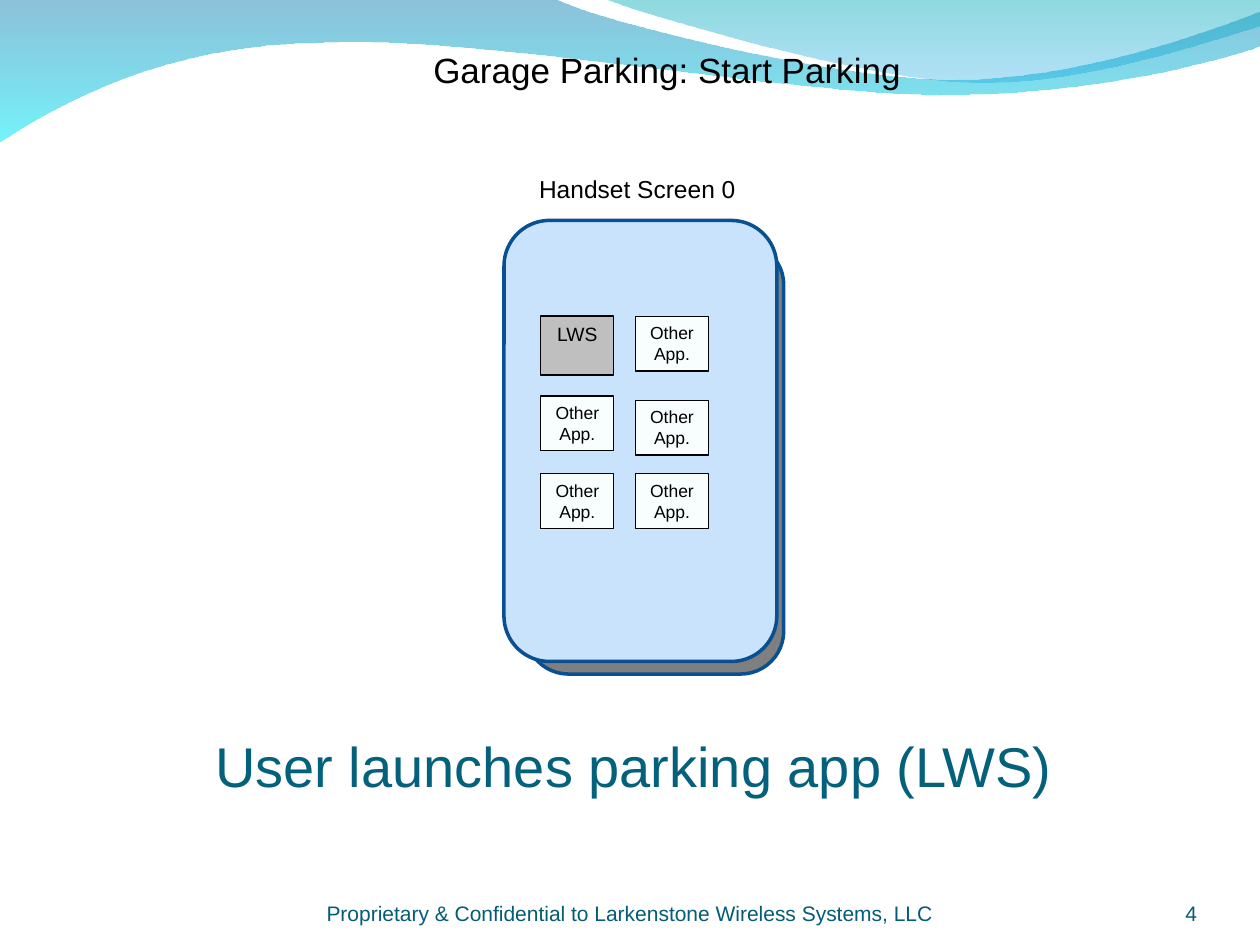
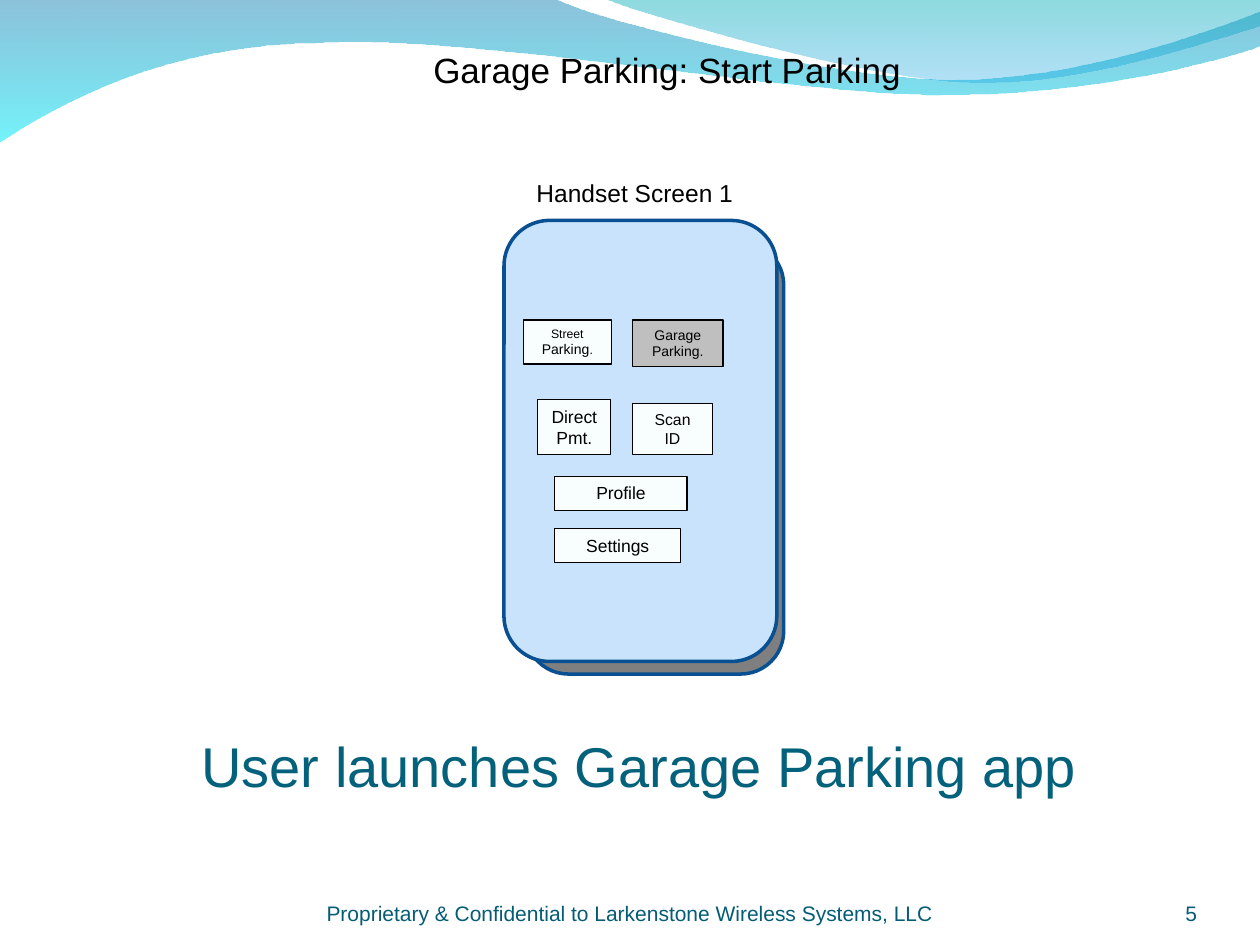
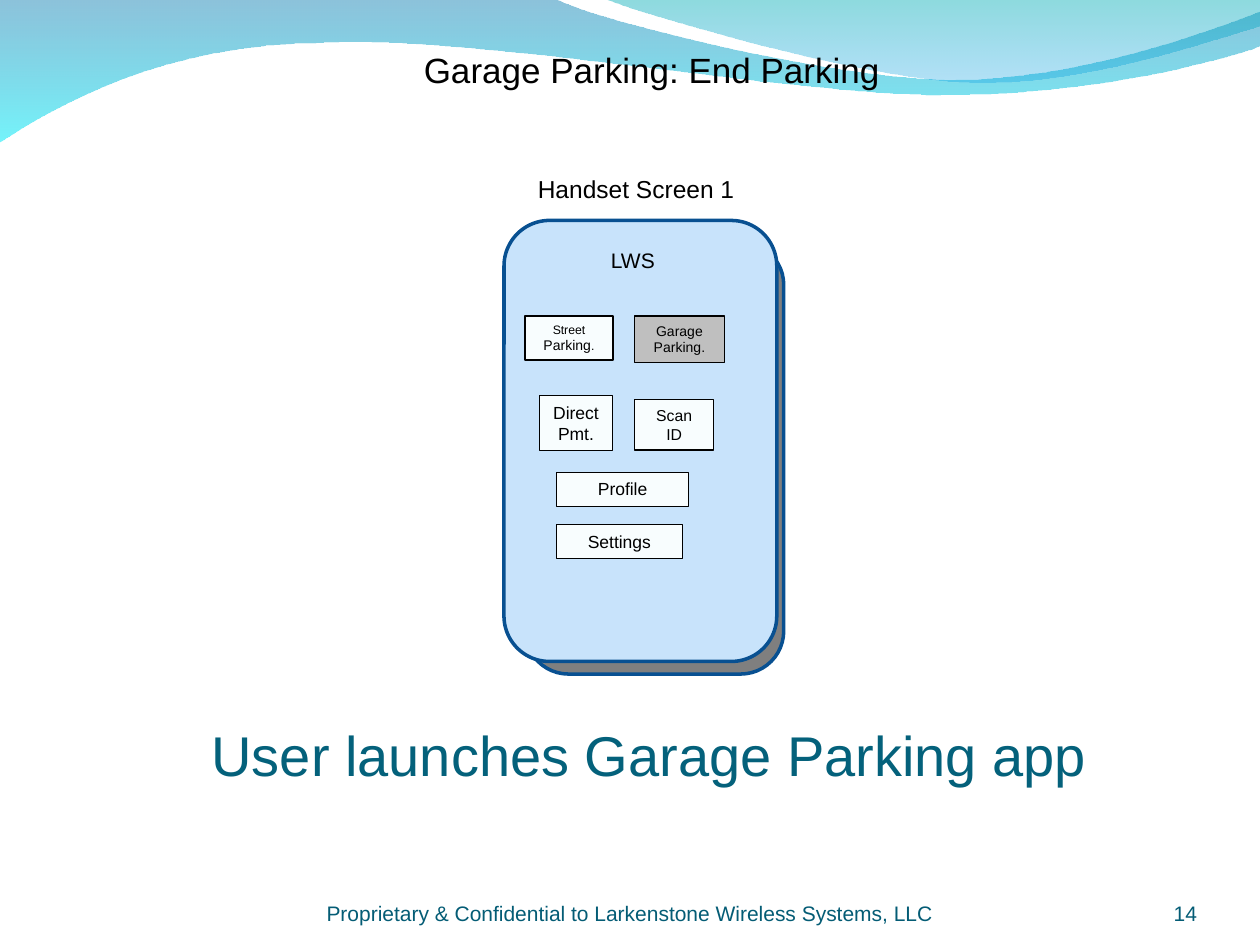
from dataclasses import dataclass

from pptx import Presentation
from pptx.dml.color import RGBColor
from pptx.enum.shapes import MSO_SHAPE as Preset
from pptx.enum.text import MSO_ANCHOR as Anchor, MSO_AUTO_SIZE as AutoSize, PP_ALIGN as Align
from pptx.oxml.ns import qn
from pptx.oxml.xmlchemy import OxmlElement
from pptx.util import Inches, Pt

COLUMNS, ROWS = 100, 75  # square grid cells across and down the slide
CELL = Inches(10) / COLUMNS


@dataclass(frozen=True)
class Theme:
    font: str = "Arial"
    ink: str = "000000"
    caption_ink: str = "04617B"
    footer_ink: str = "045C75"
    handset: str = "C8E3FB"
    handset_edge: str = "085091"
    handset_shade: str = "7F7F7F"
    button: str = "F8FDFE"
    pressed: str = "BFBFBF"
    title_size: int = 20
    label_size: int = 14
    caption_size: int = 32
    small_size: int = 12
    app_size: int = 10


THEME = Theme()

# A band has a start, segments of one point (line) or three (curve),
# and gradient stops of colour and opacity in percent.
BANDS = [
    ((0, -0.1),
     [[(44, -0.1)],
      [(47.6, 1.7), (66.4, 6.3), (75.8, 6.3)],
      [(85.3, 6.3), (95.8, 2.6), (100, 0.9)],
      [(100.1, 3.6)],
      [(98.3, 4.4), (87, 7.6), (74.6, 7.5)],
      [(62.2, 7.5), (38.2, 2.8), (25.7, 3.4)],
      [(12.9, 3.5), (4.6, 8.3), (-0.1, 11.3)]],
     [("0079AF", 45), ("00EBF8", 55)]),
    ((47.9, -0.1),
     [[(50.9, 1.1), (68.2, 6.2), (76.9, 6.5)],
      [(85.6, 6.9), (96.1, 3.2), (100, 2.1)],
      [(100, 0)]],
     [("00ADB6", 45), ("009BE5", 30)]),
]

# Left, top, width and height from the menu's corner, then the runs of the label.
MENU = [
    (0, 0, 7, 3.5, [("Street ", 7), ("Parking", 8), (".", 7)]),
    (8.7, 6.65, 6.3, 4, [("Scan ID", 9)]),
    (2.5, 12.4, 10.5, 2.7, [("Profile", THEME.app_size)]),
    (1.15, 6.3, 5.8, 4.35, [("Direct Pmt.", THEME.app_size)]),
    (2.5, 16.55, 10, 2.7, [("Settings", THEME.app_size)]),
]
GARAGE = (8.7, 0, 7.15, 3.7, [("Garage Parking.", 8)])


def cells(*lengths):
    return [round(length * CELL) for length in lengths]


def bend_outline(shape, segments):
    """Turn the straight steps of each three-point segment into one curve."""
    steps = iter(list(shape._element.spPr.iter(qn("a:lnTo"))))
    for segment in segments:
        lines = [next(steps) for _ in segment]
        if len(lines) == 3:
            curve = OxmlElement("a:cubicBezTo")
            lines[0].addprevious(curve)
            for line in lines:
                curve.append(line[0])
                line.getparent().remove(line)


def add_band(page, start, segments, stops):
    builder = page.shapes.build_freeform(*cells(*start))
    builder.add_line_segments([cells(*point) for segment in segments for point in segment])
    band = builder.convert_to_shape()
    bend_outline(band, segments)
    band.shadow.inherit = False
    band.line.fill.background()
    band.fill.gradient()
    band.fill.gradient_angle = 270
    for stop, (color, _) in zip(band.fill.gradient_stops, stops):
        stop.color.rgb = RGBColor.from_string(color)
    colors = list(band._element.spPr.iter(qn("a:srgbClr")))
    for element, (_, opacity) in zip(colors, stops):
        alpha = OxmlElement("a:alpha")
        alpha.set("val", str(opacity * 1000))
        element.append(alpha)


def style(font, size, color):
    font.name = THEME.font
    font.size = Pt(size)
    font.color.rgb = RGBColor.from_string(color)


def add_label(page, text, place, size, color=THEME.ink, anchor=Anchor.TOP):
    """One line of text that does not wrap."""
    box = page.shapes.add_textbox(*cells(*place))
    frame = box.text_frame
    frame.word_wrap = False
    frame.auto_size = AutoSize.SHAPE_TO_FIT_TEXT
    frame.vertical_anchor = anchor
    frame.text = text
    style(frame.paragraphs[0].font, size, color)


def add_footer(page, text, place, align):
    box = page.shapes.add_textbox(*cells(*place))
    frame = box.text_frame
    frame.word_wrap = True
    frame.vertical_anchor = Anchor.BOTTOM
    frame.margin_left = frame.margin_right = frame.margin_top = frame.margin_bottom = 0
    frame.text = text
    para = frame.paragraphs[0]
    para.alignment = align
    style(para.font, THEME.small_size, THEME.footer_ink)


def add_panel(page, preset, place, fill, edge, weight):
    panel = page.shapes.add_shape(preset, *cells(*place))
    panel.shadow.inherit = False
    panel.fill.solid()
    panel.fill.fore_color.rgb = RGBColor.from_string(fill)
    panel.line.color.rgb = RGBColor.from_string(edge)
    panel.line.width = Pt(weight)
    return panel


def add_handset(page):
    for place, fill in (((41.7, 19.2, 20.5, 34.3), THEME.handset_shade),
                        ((40, 17.5, 21.65, 35), THEME.handset)):
        add_panel(page, Preset.ROUNDED_RECTANGLE, place, fill, THEME.handset_edge, 2)


def add_button(page, place, runs, fill=THEME.button):
    button = add_panel(page, Preset.RECTANGLE, place, fill, THEME.ink, 0.75)
    frame = button.text_frame
    frame.word_wrap = True
    frame.vertical_anchor = Anchor.TOP
    para = frame.paragraphs[0]
    para.alignment = Align.CENTER
    for text, size in runs:
        span = para.add_run()
        span.text = text
        style(span.font, size, THEME.ink)


def add_home_screen(page):
    left, right = 42.92, 50.43
    add_button(page, (left, 25.08, 5.8, 4.7), [("LWS", 11)], THEME.pressed)
    for column, top in ((right, 31.76), (left, 37.6), (left, 31.42), (right, 37.6), (right, 25.1)):
        add_button(page, (column, top, 5.8, 4.35), [("Other App.", THEME.app_size)])


def add_menu(page, left, top):
    for item, fill in [(item, THEME.button) for item in MENU] + [(GARAGE, THEME.pressed)]:
        across, down, width, height, runs = item
        add_button(page, (left + across, top + down, width, height), runs, fill)


def add_page(deck, number, title, title_place, screen, screen_place, caption, caption_place):
    """A page with the shared bands, handset, texts and footer."""
    page = deck.slides.add_slide(deck.slide_layouts[6])
    for band in BANDS:
        add_band(page, *band)
    add_label(page, title, title_place, THEME.title_size)
    add_label(page, screen, screen_place, THEME.label_size)
    add_handset(page)
    add_label(page, caption, caption_place, THEME.caption_size, THEME.caption_ink, Anchor.MIDDLE)
    add_footer(page, str(number), (86.7, 69.5, 8.3, 4), Align.RIGHT)
    add_footer(page, "Proprietary & Confidential to Larkenstone Wireless Systems, LLC",
               (20, 69.5, 60, 4), Align.CENTER)
    return page


def main():
    deck = Presentation()
    deck.slide_width, deck.slide_height = cells(COLUMNS, ROWS)

    launch = add_page(deck, 4, "Garage Parking: Start Parking", (33.4, 3.35, 39.1, 4.4),
                      "Handset Screen 0", (41.8, 13.3, 17.6, 3.4),
                      "User launches parking app (LWS)", (16.1, 57.5, 69, 6.4))
    add_home_screen(launch)

    start = add_page(deck, 5, "Garage Parking: Start Parking", (33.4, 3.35, 39.1, 4.4),
                     "Handset Screen 1", (41.6, 13.65, 17.6, 3.4),
                     "User launches Garage Parking app", (15, 57.5, 71.5, 6.4))
    add_menu(start, 41.53, 25.4)

    end = add_page(deck, 14, "Garage Parking: End Parking", (32.65, 3.35, 38.2, 4.4),
                   "Handset Screen 1", (41.7, 13.3, 17.6, 3.4),
                   "User launches Garage Parking app", (15.8, 56.65, 71.5, 6.4))
    add_menu(end, 41.66, 25.08)
    add_label(end, "LWS", (47.5, 19.15, 5.7, 3), THEME.small_size)

    deck.save("out.pptx")


if __name__ == "__main__":
    main()
